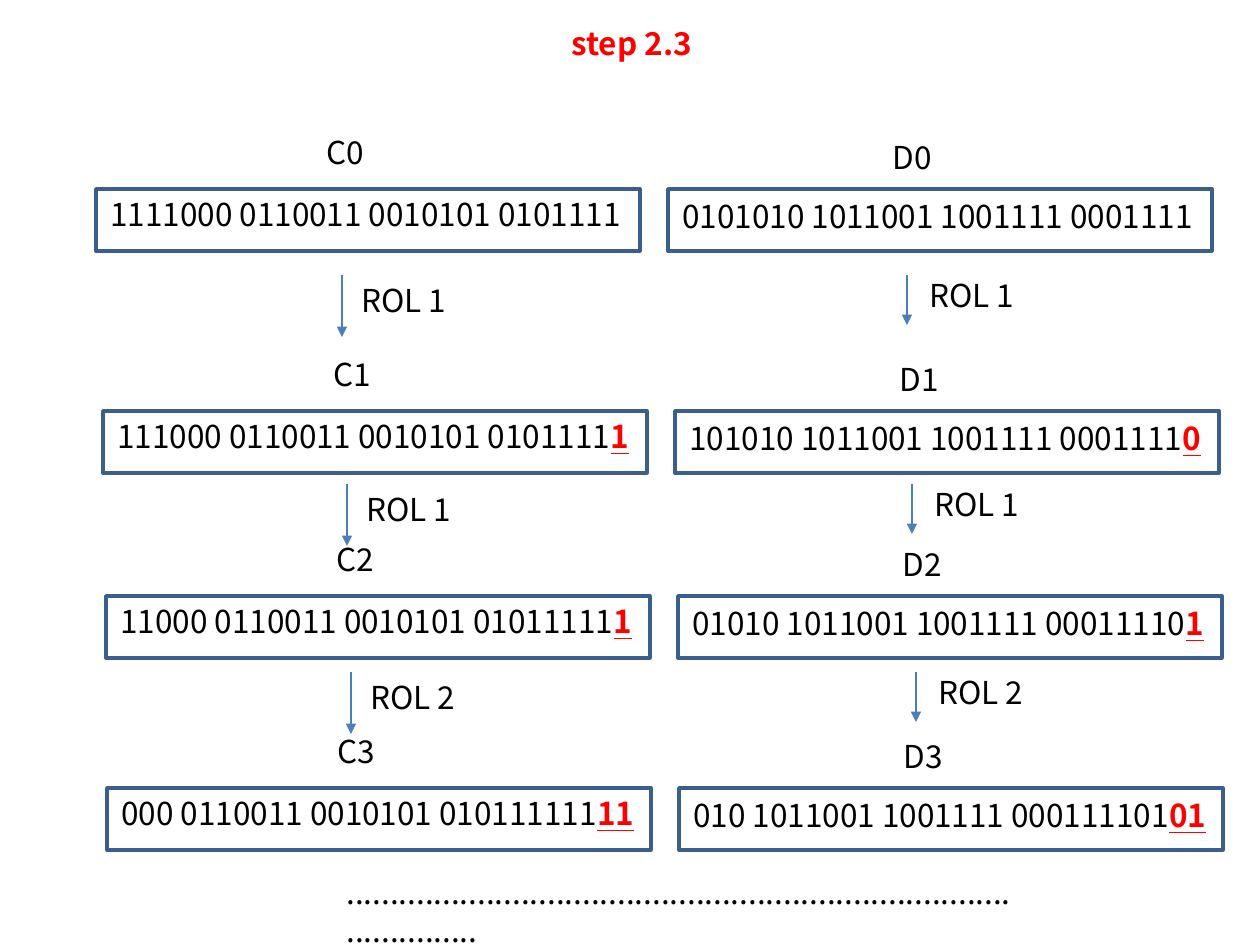
from lxml import etree
from pptx import Presentation, util as u
from pptx.dml.color import RGBColor
from pptx.enum import shapes as s, text as t
from pptx.oxml.ns import qn

SCALE = 914400 / 126
FONT = "Noto Sans CJK KR"
BLACK = RGBColor(0, 0, 0)
RED = RGBColor(0xFF, 0, 0)
EDGE = RGBColor(0x3A, 0x5F, 0x8C)
BLUE = RGBColor(0x4B, 0x7E, 0xBC)

PLAIN = {"size": u.Pt(18), "name": FONT}
MARK = {"bold": True, "underline": True}
TIGHT = {"line_spacing": u.Pt(8), "space_after": u.Pt(10)}

# Each row: box left, box top, C bits, C moved bits, D bits, D moved bits
ROWS = [
    (96, 189, "1111000 0110011 0010101 0101111", "",
     "0101010 1011001 1001111 0001111", ""),
    (103, 411, "111000 0110011 0010101 0101111", "1",
     "101010 1011001 1001111 0001111", "0"),
    (106, 596, "11000 0110011 0010101 01011111", "1",
     "01010 1011001 1001111 00011110", "1"),
    (107, 788, "000 0110011 0010101 010111111", "11",
     "010 1011001 1001111 000111101", "01"),
]
# Each turn: arrow left, arrow top, places moved
TURNS = [(342, 275, 1), (347, 484, 1), (351, 672, 2)]


def px(*vals):
    """Turn pixels into EMU."""
    return [u.Emu(round(v * SCALE)) for v in vals]


def put(obj, vals):
    """Set attributes from a dict."""
    for key, val in vals.items():
        setattr(obj, key, val)


def add_text(slide, box, runs, para=None):
    """Add a text box holding one line of (words, colour, format) runs."""
    frame = slide.shapes.add_textbox(*px(*box)).text_frame
    put(frame, {"word_wrap": True,
                "auto_size": t.MSO_AUTO_SIZE.SHAPE_TO_FIT_TEXT})
    line = frame.paragraphs[0]
    put(line, para or {})
    for words, tint, style in runs:
        run = line.add_run()
        run.text = words
        put(run.font, {**PLAIN, **style})
        run.font.color.rgb = tint


def add_box(slide, left, top):
    """Add the frame around one half key."""
    box = slide.shapes.add_shape(s.MSO_SHAPE.RECTANGLE,
                                 *px(left, top, 544, 62))
    box.shadow.inherit = False
    box.fill.background()
    box.line.color.rgb = EDGE
    box.line.width = u.Pt(2)


def add_arrow(slide, left, top, size):
    """Add an arrow pointing down."""
    arrow = slide.shapes.add_connector(
        s.MSO_CONNECTOR.STRAIGHT, *px(left, top, left, top + size))
    arrow.line.color.rgb = BLUE
    arrow.line.width = u.Pt(0.75)
    tail = etree.SubElement(arrow.line._get_or_add_ln(), qn("a:tailEnd"))
    tail.set("type", "triangle")
    etree.SubElement(arrow._element.spPr, qn("a:effectLst"))


def add_half(slide, left, top, name, bits, moved, gap, rise, drop, para):
    """Add one half key with its name, bits and frame."""
    runs = [(bits, BLACK, {})]
    if moved:
        runs.append((moved, RED, MARK))
    add_text(slide, (left + 2, top + drop, 556, 50 - drop * 0.75), runs, para)
    add_box(slide, left, top)
    add_text(slide, (left + gap, top - rise, 180, 50), [(name, BLACK, {})])


def add_turn(slide, left, top, size, gap, rise, count):
    """Add an arrow with its rotation label."""
    add_arrow(slide, left, top, size)
    add_text(slide, (left + gap, top - rise, 262, 50),
             [(f"ROL {count}", BLACK, {})])


def main():
    """Build the slide."""
    deck = Presentation()
    put(deck, {"slide_width": u.Inches(10), "slide_height": u.Inches(7.5)})
    slide = deck.slides.add_slide(deck.slide_layouts[6])
    add_text(slide, (559, 18, 316, 50), [("step 2.3", RED, {"bold": True})])
    for i, (left, top, c_bits, c_end, d_bits, d_end) in enumerate(ROWS):
        add_half(slide, left, top, f"C{i}", c_bits, c_end, 218, 62, 0, None)
        add_half(slide, left + 572, top, f"D{i}", d_bits, d_end,
                 212, 57, 26, TIGHT)
    for left, top, count in TURNS:
        add_turn(slide, left, top, 62, 7, 0, count)
        add_turn(slide, left + 565, top, 50, 10, 5, count)
    add_text(slide, (334, 867, 692, 50), [("." * 91, BLACK, {})])
    deck.save("out.pptx")


main()
